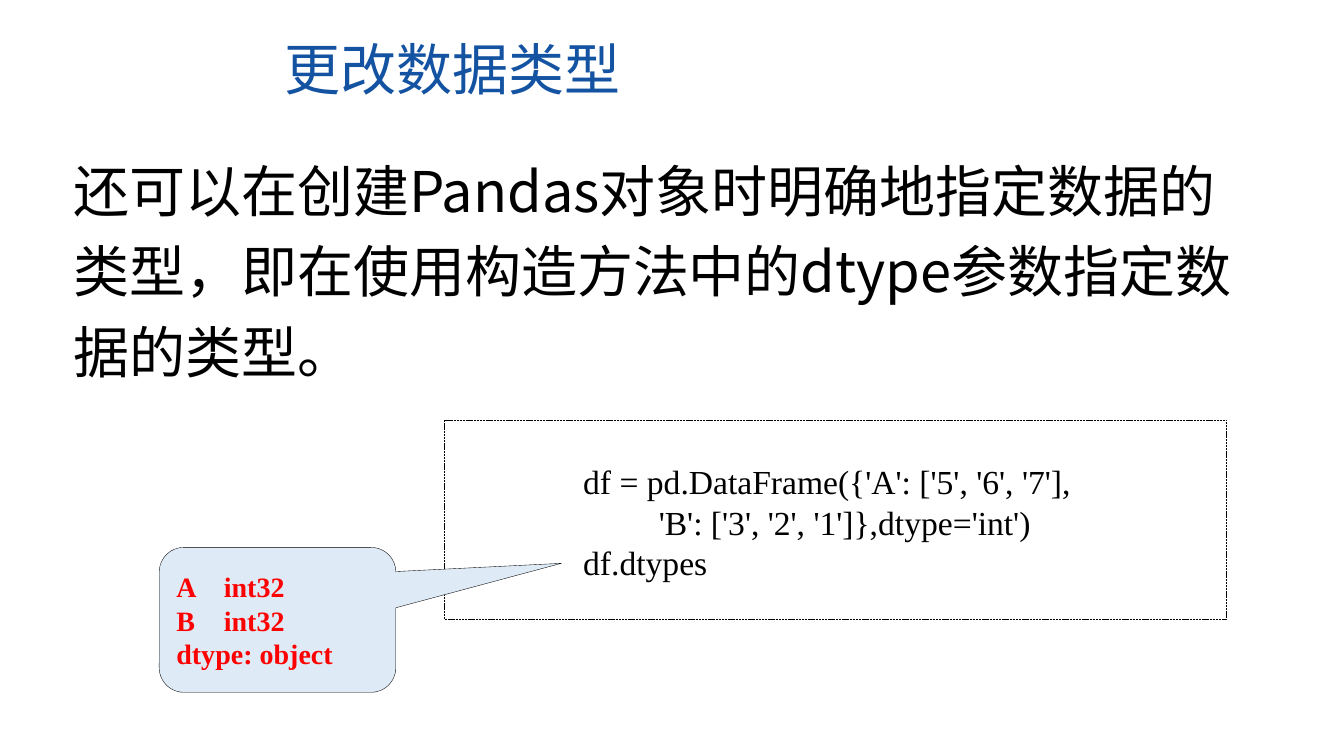
from lxml import etree
from pptx import Presentation
from pptx.dml.color import RGBColor
from pptx.enum import dml, shapes, text
from pptx.oxml.ns import qn
from pptx.util import Pt

BLACK = RGBColor(0, 0, 0)
TITLE_BLUE = RGBColor(0x13, 0x53, 0xA2)
CALLOUT_BLUE = RGBColor(0xDE, 0xEB, 0xF7)
OUTPUT_RED = RGBColor(0xFF, 0, 0)
SANS = "Noto Sans CJK SC"
SERIF = "Times New Roman"


def write(text_frame, content, size, font_name, color, bold=False):
    text_frame.word_wrap = True
    text_frame.text = content
    for paragraph in text_frame.paragraphs:
        paragraph.alignment = text.PP_ALIGN.LEFT
        for run in paragraph.runs:
            run.font.size = Pt(size)
            run.font.name = font_name
            run.font.bold = bold
            run.font.color.rgb = color
            east_asian = etree.SubElement(run.font._element, qn("a:ea"))
            east_asian.set("typeface", font_name)


def add_text(slide, box, *style):
    text_box = slide.shapes.add_textbox(*map(Pt, box))
    write(text_box.text_frame, *style)
    return text_box.text_frame.paragraphs


def add_outlined(slide, kind, box, line_width):
    shape = slide.shapes.add_shape(kind, *map(Pt, box))
    shape.shadow.inherit = False
    shape.line.color.rgb = BLACK
    shape.line.width = Pt(line_width)
    return shape


def add_title(slide, box):
    add_text(slide, box, "更改数据类型", 40, SANS, TITLE_BLUE)


def add_explanation(slide, box):
    content = ("还可以在创建Pandas对象时明确地指定数据的类型，"
               "即在使用构造方法中的dtype参数指定数据的类型。")
    add_text(slide, box, content, 40, SANS, BLACK)[0].line_spacing = 1.2


def add_code(slide, box):
    left, top, width, height = box
    code = ("df = pd.DataFrame({'A': ['5', '6', '7'],\n"
            "'B': ['3', '2', '1']},dtype='int')\n"
            "df.dtypes")
    code_box = (left + 92, top + 26, width - 121.5, height - 48)
    paragraphs = add_text(slide, code_box, code, 24, SERIF, BLACK)
    paragraphs[1]._p.get_or_add_pPr().set("marL", str(Pt(54)))
    frame = add_outlined(slide, shapes.MSO_SHAPE.RECTANGLE, box, 0.5)
    frame.fill.background()
    frame.line.dash_style = dml.MSO_LINE.SQUARE_DOT


def add_output(slide, box):
    callout = add_outlined(slide, shapes.MSO_SHAPE.ROUNDED_RECTANGULAR_CALLOUT, box, 0.25)
    for index, value in enumerate((1.2, -0.39, 0.17)):
        callout.adjustments[index] = value
    callout.fill.solid()
    callout.fill.fore_color.rgb = CALLOUT_BLUE
    text_frame = callout.text_frame
    text_frame.vertical_anchor = text.MSO_ANCHOR.MIDDLE
    write(text_frame, "A\tint32\nB\tint32\ndtype: object", 20, SERIF, OUTPUT_RED, True)
    for paragraph in text_frame.paragraphs[:2]:
        tabs = etree.SubElement(paragraph._p.get_or_add_pPr(), qn("a:tabLst"))
        etree.SubElement(tabs, qn("a:tab"), pos=str(Pt(34)), algn="l")


def main():
    presentation = Presentation()
    presentation.slide_width = Pt(960)
    presentation.slide_height = Pt(540)
    slide = presentation.slides.add_slide(presentation.slide_layouts[6])
    add_title(slide, (196.5, 21, 423.5, 55.5))
    add_explanation(slide, (45.5, 98.5, 865.5, 176.5))
    add_code(slide, (317.5, 300, 558.5, 142.5))
    add_output(slide, (113.75, 391, 169, 103.5))
    presentation.save("out.pptx")


if __name__ == "__main__":
    main()
